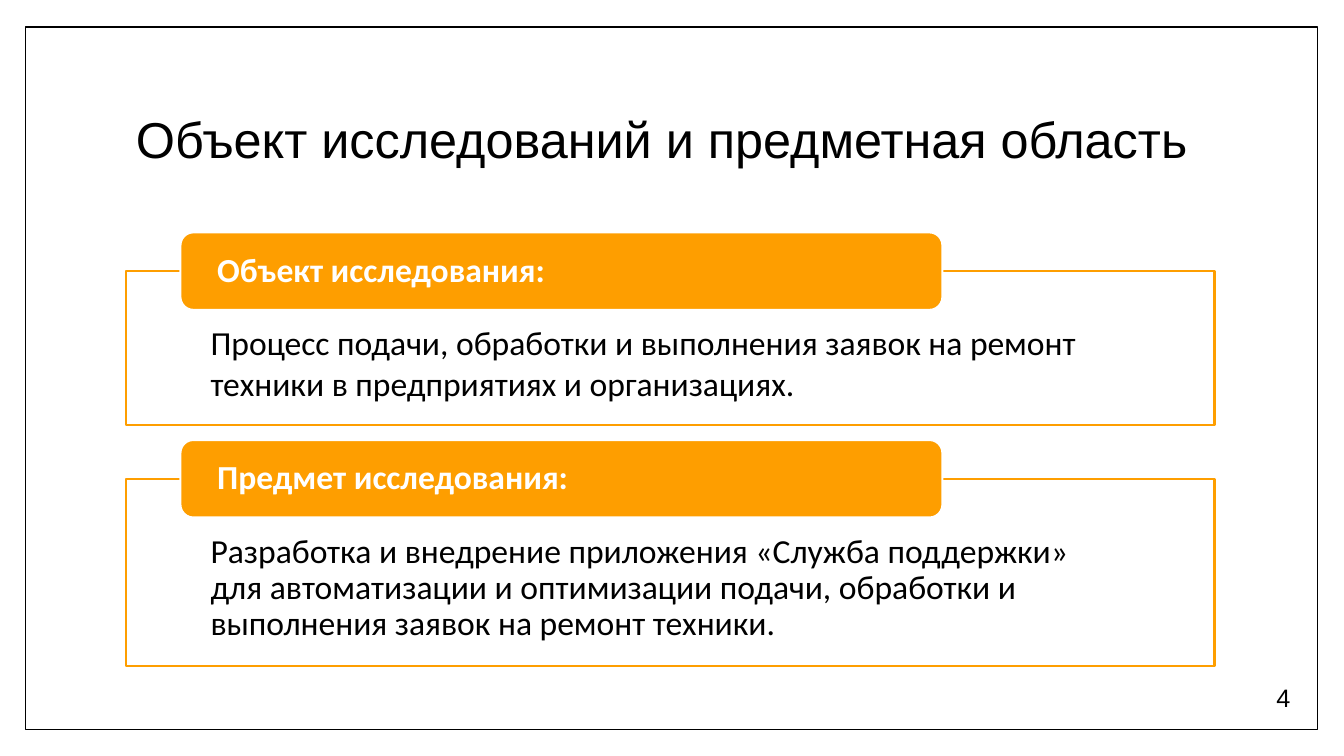
"""Build the slide on the object and subject of the research."""
from pptx import Presentation
from pptx.dml.color import RGBColor
from pptx.enum import shapes, text
from pptx.util import Pt

COLORS = {"black": "000000", "white": "FFFFFF", "orange": "FE9E00"}
HEADER_HEIGHT = 55.4
SECTIONS = [
    (193.7, 110.2, 3.6, "Объект исследования:", [
        "Процесс подачи, обработки и выполнения заявок на ремонт",
        "техники в предприятиях и организациях."]),
    (342, 133.9, 0, "Предмет исследования:", [
        "Разработка и внедрение приложения «Служба поддержки»",
        "для автоматизации и оптимизации подачи, обработки и",
        "выполнения заявок на ремонт техники."]),
]


def rgb(name):
    return RGBColor.from_string(COLORS[name])


def add_box(s, kind, box, fill, line, width):
    sp = s.shapes.add_shape(kind, *map(Pt, box))
    sp.shadow.inherit = False
    sp.fill.solid()
    sp.fill.fore_color.rgb = rgb(fill)
    sp.line.color.rgb = rgb(line)
    sp.line.width = Pt(width)
    return sp


def set_text(sp, lines, size, font, color="black", bold=False, spacing=0.9,
             after=0, align=text.PP_ALIGN.LEFT,
             anchor=text.MSO_ANCHOR.MIDDLE, insets=(7.2, 3.6, 7.2, 3.6)):
    tf = sp.text_frame
    tf.word_wrap = True
    tf.vertical_anchor = anchor
    tf.margin_left, tf.margin_top, tf.margin_right, tf.margin_bottom = map(Pt, insets)
    tf.text = "\n".join(lines)
    for p in tf.paragraphs:
        p.alignment = align
        p.line_spacing = spacing
        p.space_after = Pt(after)
        p.font.size = Pt(size)
        p.font.name = font
        p.font.bold = bold
        p.font.color.rgb = rgb(color)


def add_label(s, box, label, size, **style):
    sp = s.shapes.add_textbox(*map(Pt, box))
    set_text(sp, [label], size, "Arial", **style)


def add_section(s, top, height, after, heading, lines):
    body = add_box(s, shapes.MSO_SHAPE.RECTANGLE, (90, top, 777.6, height),
                   "white", "orange", 1.5)
    set_text(body, lines, 24, "Calibri", after=after,
             anchor=text.MSO_ANCHOR.TOP, insets=(60.4, 39.6, 60.4, 13.7))
    header = add_box(s, shapes.MSO_SHAPE.ROUNDED_RECTANGLE,
                     (128.9, top - HEADER_HEIGHT / 2, 544.3, HEADER_HEIGHT),
                     "orange", "white", 1.5)
    set_text(header, [heading], 24, "Calibri", color="white", bold=True,
             insets=(23.6, 0, 23.6, 0))


def main():
    prs = Presentation()
    prs.slide_width, prs.slide_height = Pt(960), Pt(540)
    s = prs.slides.add_slide(prs.slide_layouts[6])
    add_box(s, shapes.MSO_SHAPE.RECTANGLE, (18, 19.4, 923, 501.8),
            "white", "black", 1)
    add_label(s, (90, 48.2, 777.6, 106.6),
              "Объект исследований и предметная область", 36)
    for section in SECTIONS:
        add_section(s, *section)
    add_label(s, (883.4, 483.8, 45.4, 28.8), "4", 18, spacing=1.0,
              align=text.PP_ALIGN.RIGHT)
    prs.save("out.pptx")


if __name__ == "__main__":
    main()
